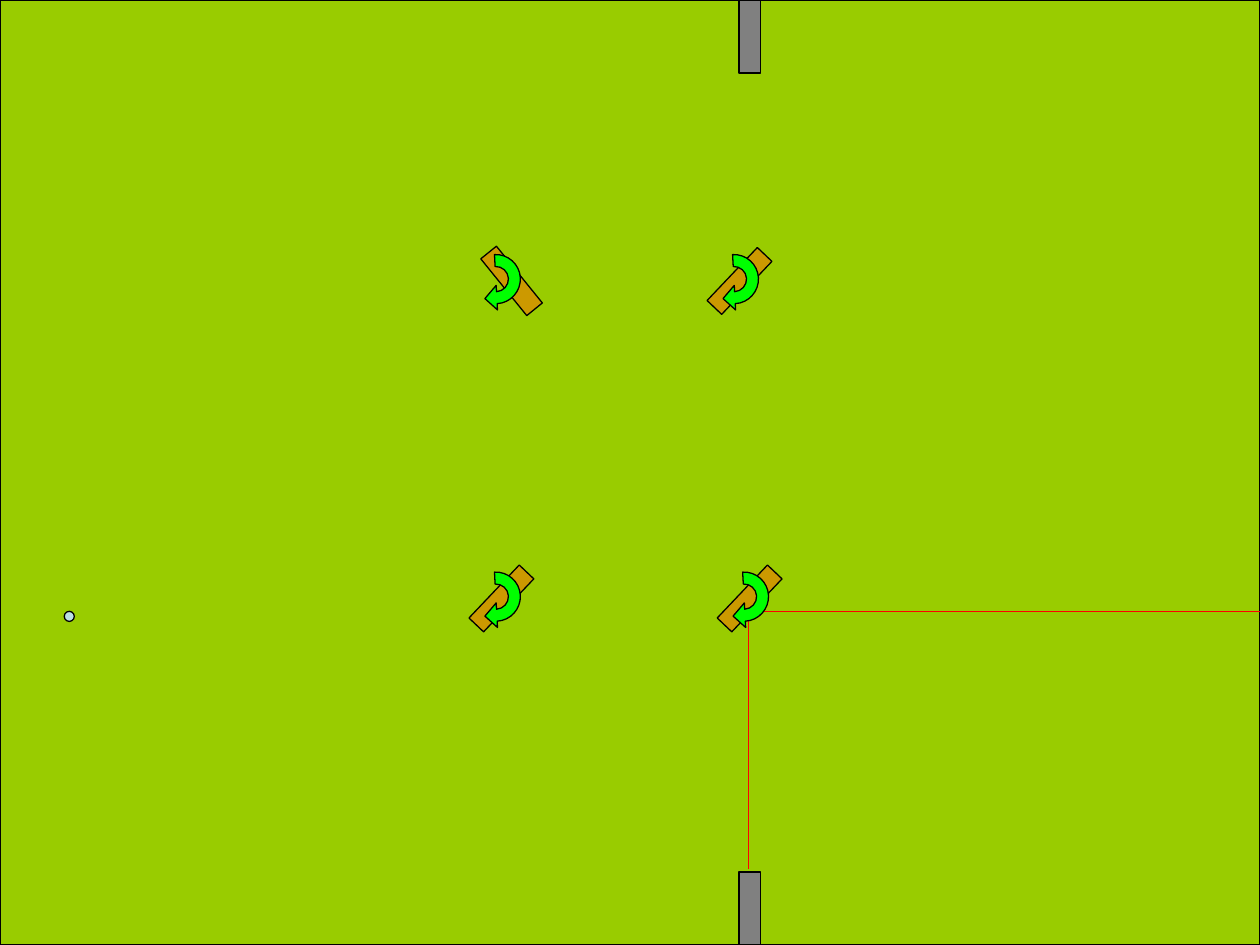
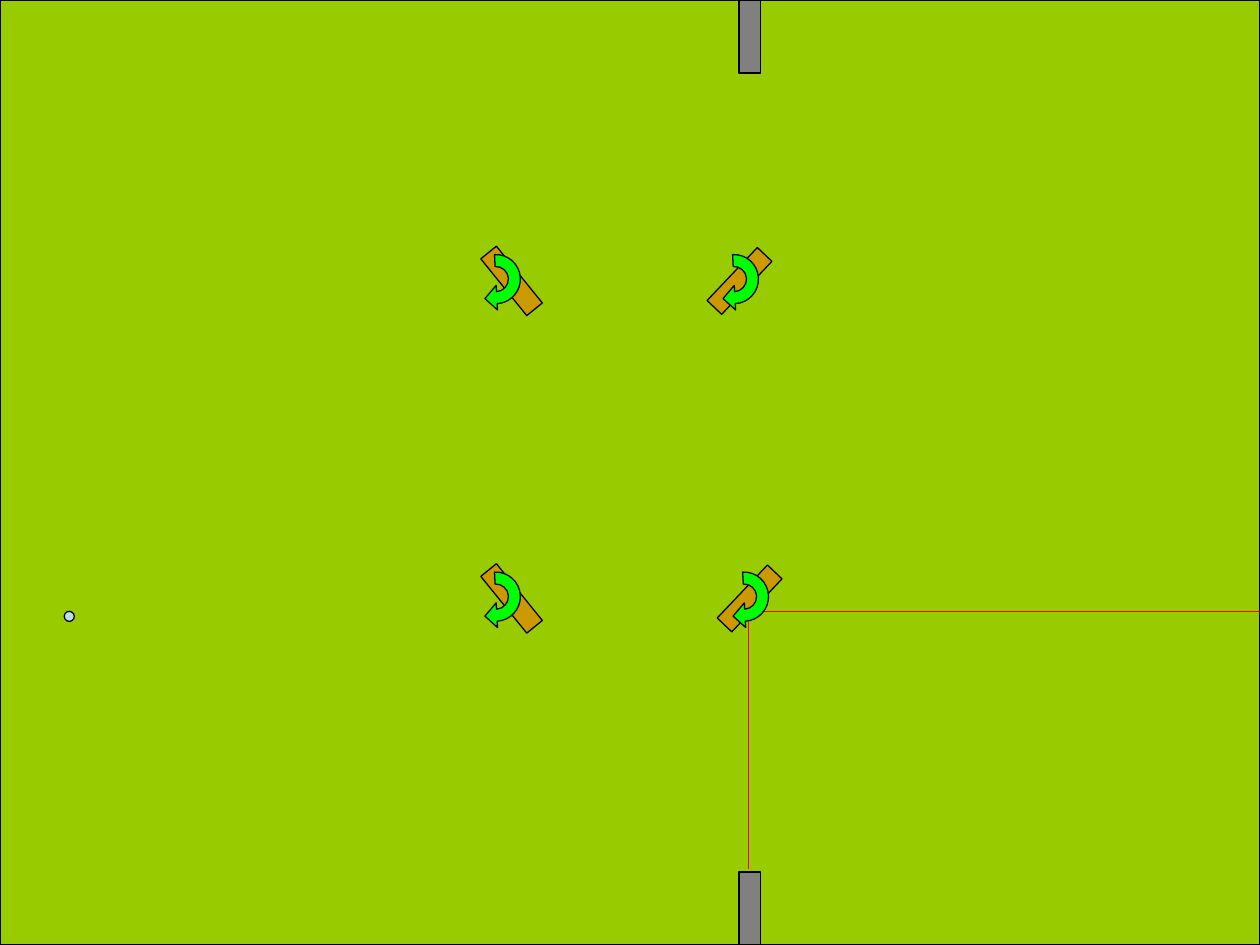
from lxml import etree
from pptx import Presentation
from pptx import util as u
from pptx.dml.color import RGBColor
from pptx.enum import shapes
from pptx.oxml.ns import qn

GRASS = RGBColor(0x99, 0xCC, 0x00)
POST = RGBColor(0x80, 0x80, 0x80)
WOOD = RGBColor(0xCC, 0x99, 0x00)
TURN = RGBColor(0x00, 0xFF, 0x00)
BALL = RGBColor(0xBB, 0xE0, 0xE3)
BEAM = RGBColor(0xFF, 0x00, 0x00)
EDGE = RGBColor(0x00, 0x00, 0x00)

COLS, ROWS = 100, 75
CELL = u.Inches(0.1)
RECT = shapes.MSO_SHAPE.RECTANGLE
OVAL = shapes.MSO_SHAPE.OVAL

RISE, FALL = 313.5, 51
LEFT, TOP, LOW = 39.35, 22.15, 47.35
SHIFT = {RISE: 0.45, FALL: 1.25}  # bar centre, right of the pivot
OUTER, INNER, BOW = 1.95, 1, 0.55  # ring radii, curve handle share


def grid(n):
    return u.Emu(round(n * CELL))


def arch(r, side):
    """Two quarter curves over the top, from x = side * r to the far end."""
    a, h = side * r, BOW * r
    return [[(a, -h), (side * h, -r), (0, -r)],
            [(-side * h, -r), (-a, -h), (-a, 0)]]


class Field:
    def __init__(self):
        self.deck = Presentation()
        self.deck.slide_width = grid(COLS)
        self.deck.slide_height = grid(ROWS)

    def page(self):
        self.slide = self.deck.slides.add_slide(self.deck.slide_layouts[6])

    def style(self, shape, fill):
        shape.shadow.inherit = False
        shape.fill.solid()
        shape.fill.fore_color.rgb = fill
        shape.line.color.rgb = EDGE
        shape.line.width = u.Pt(0.75)
        return shape

    def block(self, kind, box, fill, turn=0, host=None):
        home = host or self.slide
        shape = home.shapes.add_shape(kind, *map(grid, box))
        shape.rotation = turn
        return self.style(shape, fill)

    def line(self, start, end):
        wire = self.slide.shapes.add_connector(
            shapes.MSO_CONNECTOR.STRAIGHT, *map(grid, start + end))
        wire.line.color.rgb = BEAM
        wire.line.width = u.Pt(0.75)
        etree.SubElement(wire._element.spPr, qn("a:effectLst"))

    def arrow(self, x, y, host):
        """Draw a clockwise turn arrow round the pivot (x, y)."""
        left, top, size = grid(x - OUTER), grid(y - OUTER), grid(2 * OUTER)
        form = host.shapes.build_freeform(left, top)
        form.add_line_segments([(left + size, top),
                                (left + size, top + size)])
        shape = form.convert_to_shape()
        shape.rotation = 86.9
        self.style(shape, TURN)

        track = next(shape._element.iter(qn("a:path")))
        for old in list(track):
            track.remove(old)
        tip = [[(2.45, 0)], [(1.5, 0.95)], [(0.5, 0)]]
        steps = [[(INNER, 0)], *arch(INNER, 1), [(-OUTER, 0)],
                 *arch(OUTER, -1), *tip]
        for i, spots in enumerate(steps):
            verb = "cubicBezTo" if len(spots) == 3 else "lnTo"
            step = etree.SubElement(track, qn("a:" + (verb if i else "moveTo")))
            for dx, dy in spots:
                etree.SubElement(step, qn("a:pt"),
                                 x=str(int(grid(dx + OUTER))),
                                 y=str(int(grid(dy + OUTER))))
        etree.SubElement(track, qn("a:close"))

    def paddle(self, x, y, turn):
        """Group a tilted bar with its turn arrow."""
        host = self.slide.shapes.add_group_shape()
        wide, high = 5.8, 1.6
        left = x + SHIFT[turn] - wide / 2
        top = y + 0.15 - high / 2
        self.block(RECT, (left, top, wide, high), WOOD, turn, host)
        self.arrow(x, y, host)

    def pitch(self):
        """Draw the ground, posts, beam and ball that every slide has."""
        self.block(RECT, (0, 0, COLS, ROWS), GRASS)
        left, wide, high = 58.65, 1.7, 5.8
        self.block(RECT, (left, ROWS - high, wide, high), POST)
        self.block(RECT, (left, 0, wide, high), POST)
        mid, bend = 59.43, 48.52
        self.line((mid, 69), (mid, bend))
        self.line((mid, bend), (COLS, bend))
        self.block(OVAL, (5.1, bend, 0.8, 0.8), BALL)


def main():
    field = Field()
    upper, lower = (LEFT, TOP, FALL), (LEFT, LOW, FALL)
    raised = (LEFT, LOW, RISE)
    right = [(58.25, TOP, RISE), (59.05, LOW, RISE)]
    for pair in ([raised, upper], [upper, lower]):
        field.page()
        field.pitch()
        for spot in pair + right:
            field.paddle(*spot)
    field.deck.save("out.pptx")


if __name__ == "__main__":
    main()
